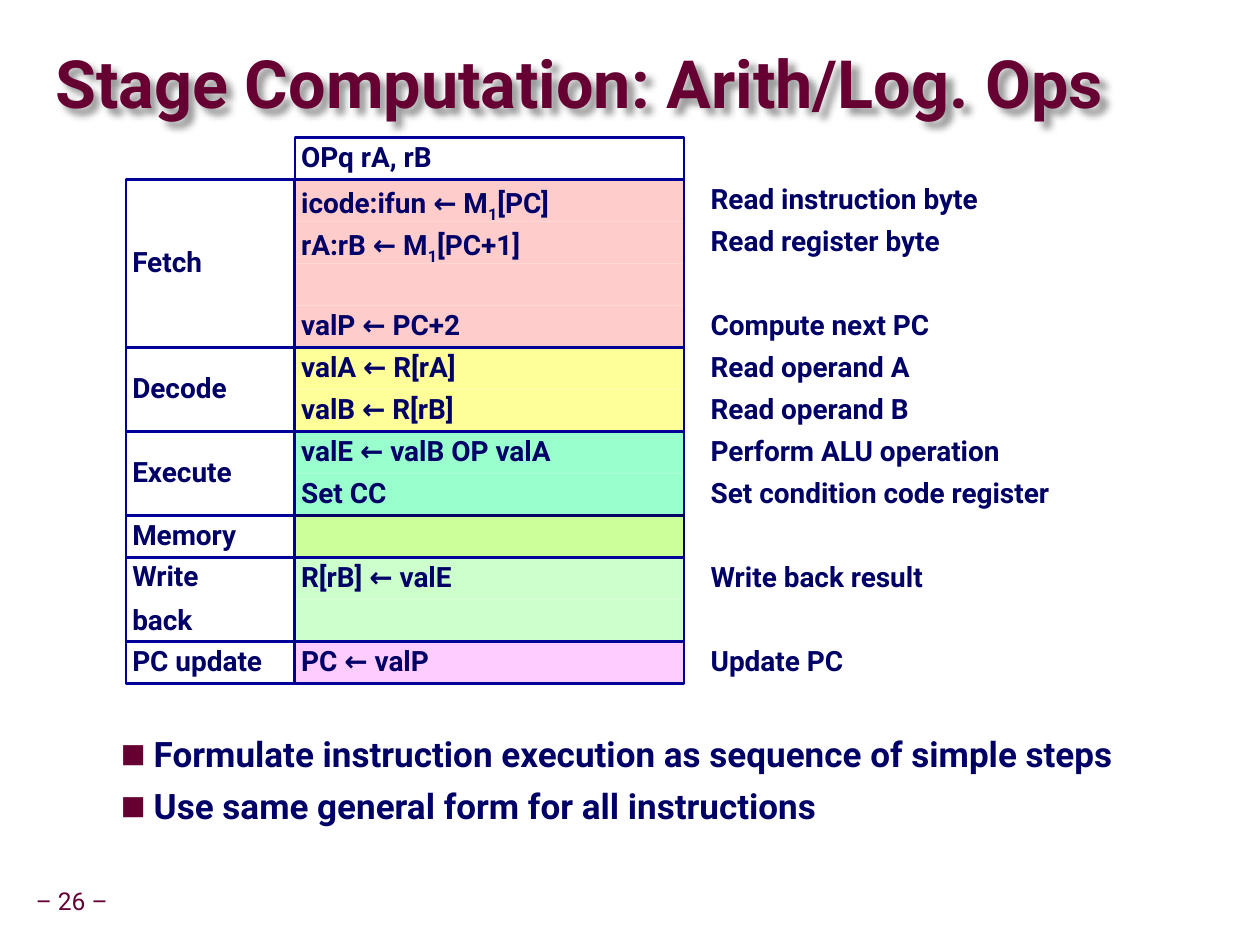
import lxml.etree
import pptx
import pptx.dml.color
import pptx.enum.shapes
import pptx.enum.text
import pptx.oxml
import pptx.oxml.ns
import pptx.util

Inches = pptx.util.Inches
Pt = pptx.util.Pt
RGBColor = pptx.dml.color.RGBColor
Anchor = pptx.enum.text.MSO_ANCHOR
Align = pptx.enum.text.PP_ALIGN

MAROON = RGBColor(0x66, 0x00, 0x33)
NAVY = RGBColor(0x00, 0x00, 0x66)
BLUE = RGBColor(0x00, 0x00, 0x99)
PINK = RGBColor(0xFF, 0xCC, 0xCC)
YELLOW = RGBColor(0xFF, 0xFF, 0x99)
AQUA = RGBColor(0x99, 0xFF, 0xCC)
LIME = RGBColor(0xCC, 0xFF, 0x99)
MINT = RGBColor(0xCC, 0xFF, 0xCC)
LILAC = RGBColor(0xFF, 0xCC, 0xFF)

TABLE_TOP = 1.09
ROW_HEIGHT = 1 / 3
NAME_LEFT, NAME_WIDTH = 1, 1.34
STEP_LEFT, STEP_WIDTH = 2.34, 3.09
NOTE_LEFT = 5.59

# Stage name lines, colour, outline, and (computation, note) rows.
# Text between underscores is a subscript.
STAGES = [
    (["Fetch"], PINK, BLUE, [
        ("icode:ifun ← M_1_[PC]", "Read instruction byte"),
        ("rA:rB ← M_1_[PC+1]", "Read register byte"),
        ("", ""),
        ("valP ← PC+2", "Compute next PC")]),
    (["Decode"], YELLOW, BLUE, [
        ("valA ← R[rA]", "Read operand A"),
        ("valB ← R[rB]", "Read operand B")]),
    (["Execute"], AQUA, BLUE, [
        ("valE ← valB OP valA", "Perform ALU operation"),
        ("Set CC", "Set condition code register")]),
    (["Memory"], LIME, NAVY, [("", "")]),
    (["Write", "back"], MINT, BLUE, [
        ("R[rB] ← valE", "Write back result"),
        ("", "")]),
    (["PC update"], LILAC, BLUE, [("PC ← valP", "Update PC")]),
]


class SlideBuilder:
    font_name = "Roboto"
    inset = Inches(0.05)

    def __init__(self, slide):
        self.slide = slide

    def place(self, shape, left, top, width, height):
        shape.left, shape.top = Inches(left), Inches(top)
        shape.width, shape.height = Inches(width), Inches(height)

    def frame(self, shape, anchor, horizontal, vertical):
        text_frame = shape.text_frame
        text_frame.auto_size = pptx.enum.text.MSO_AUTO_SIZE.NONE
        text_frame.word_wrap = True
        text_frame.vertical_anchor = anchor
        text_frame.margin_left = text_frame.margin_right = horizontal
        text_frame.margin_top = text_frame.margin_bottom = vertical
        return text_frame

    def add_text(self, text_frame, lines, size, color, bold=True, spacing=0.9,
                 gap=8, align=Align.LEFT):
        """Fill the frame with one paragraph per line, with a gap between them."""
        for index, line in enumerate(lines):
            paragraph = text_frame.paragraphs[0] if index == 0 else text_frame.add_paragraph()
            paragraph.alignment = align
            paragraph.line_spacing = spacing
            paragraph.space_before = Pt(gap if index else 0)
            for part, text in enumerate(line.split("_")):
                run = paragraph.add_run()
                run.text = text
                run.font.name = self.font_name
                run.font.size = Pt(size)
                run.font.bold = bold
                run.font.color.rgb = color
                if part % 2:
                    run.font._element.set("baseline", "-25000")

    def title(self, text, *box):
        shape = self.slide.shapes.title
        self.place(shape, *box)
        self.add_text(self.frame(shape, Anchor.MIDDLE, 0, 0), [text], 38, MAROON, spacing=0.87)
        shape._element.spPr.append(pptx.oxml.parse_xml(
            f'<a:effectLst {pptx.oxml.ns.nsdecls("a")}>'
            '<a:outerShdw blurRad="50800" dist="53900" dir="2700000" algn="ctr">'
            '<a:srgbClr val="000000"><a:alpha val="40000"/></a:srgbClr>'
            '</a:outerShdw></a:effectLst>'))

    def bullets(self, lines, *box):
        shape = self.slide.placeholders[1]
        self.place(shape, *box)
        text_frame = self.frame(shape, Anchor.TOP, Inches(0.1), self.inset)
        self.add_text(text_frame, lines, 20, NAVY, spacing=1.0, gap=6)
        for paragraph in text_frame.paragraphs:
            paragraph.level = 1
            properties = paragraph._p.get_or_add_pPr()
            properties.set("marL", str(Inches(0.8)))
            properties.set("indent", str(Inches(-0.26)))
            bullet_color = self.add_child(properties, "a:buClr")
            self.add_child(bullet_color, "a:srgbClr", val=str(MAROON))
            self.add_child(properties, "a:buSzPct", val="75000")
            self.add_child(properties, "a:buFont", typeface=self.font_name)
            self.add_child(properties, "a:buChar", char="■")

    def add_child(self, parent, tag, **attributes):
        return lxml.etree.SubElement(parent, pptx.oxml.ns.qn(tag), **attributes)

    def cell(self, left, top, width, height, lines=(), fill=None, line=None,
             anchor=Anchor.TOP):
        shape = self.slide.shapes.add_shape(
            pptx.enum.shapes.MSO_SHAPE.RECTANGLE,
            Inches(left), Inches(top), Inches(width), Inches(height))
        shape.shadow.inherit = False
        if fill is None:
            shape.fill.background()
        else:
            shape.fill.solid()
            shape.fill.fore_color.rgb = fill
        if line is None:
            shape.line.fill.background()
        else:
            shape.line.color.rgb = line
            shape.line.width = Pt(1.5)
        if any(lines):
            self.add_text(self.frame(shape, anchor, self.inset, self.inset), lines, 16, NAVY)

    def label(self, text, left, top, width, height, anchor=Anchor.TOP, **style):
        shape = self.slide.shapes.add_textbox(
            Inches(left), Inches(top), Inches(width), Inches(height))
        text_frame = self.frame(shape, anchor, self.inset, self.inset)
        self.add_text(text_frame, [text], **{"size": 16, "color": NAVY, **style})
        return text_frame

    def stage(self, top, name_lines, fill, line, rows):
        """Draw one stage and return the top of the next one."""
        height = len(rows) * ROW_HEIGHT
        single = len(rows) == 1
        for index, (step, note) in enumerate(rows):
            row_top = top + index * ROW_HEIGHT
            self.cell(STEP_LEFT, row_top, STEP_WIDTH, ROW_HEIGHT, [step], fill,
                      line if single else None)
            if note:
                self.label(note, NOTE_LEFT, row_top, STEP_WIDTH, ROW_HEIGHT)
        if not single:
            self.cell(STEP_LEFT, top, STEP_WIDTH, height, line=line)
        self.cell(NAME_LEFT, top, NAME_WIDTH, height, name_lines, line=BLUE,
                  anchor=Anchor.MIDDLE)
        return top + height


def main():
    presentation = pptx.Presentation()
    presentation.slide_width, presentation.slide_height = Inches(10), Inches(7.5)
    builder = SlideBuilder(presentation.slides.add_slide(presentation.slide_layouts[1]))

    builder.title("Stage Computation: Arith/Log. Ops", 0.44, 0.27, 9.53, 0.85)
    builder.bullets(["Formulate instruction execution as sequence of simple steps",
                     "Use same general form for all instructions"],
                    0.32, 5.76, 9.09, 1.29)
    page_number = builder.label("– 26 –", 0.23, 7, 0.68, 0.32, Anchor.MIDDLE,
                                size=14, color=MAROON, bold=False, align=Align.CENTER)
    page_number.word_wrap = False

    builder.cell(STEP_LEFT, TABLE_TOP, STEP_WIDTH, ROW_HEIGHT, ["OPq rA, rB"], line=BLUE)
    top = TABLE_TOP + ROW_HEIGHT
    for stage in STAGES:
        top = builder.stage(top, *stage)

    presentation.save("out.pptx")


if __name__ == "__main__":
    main()
